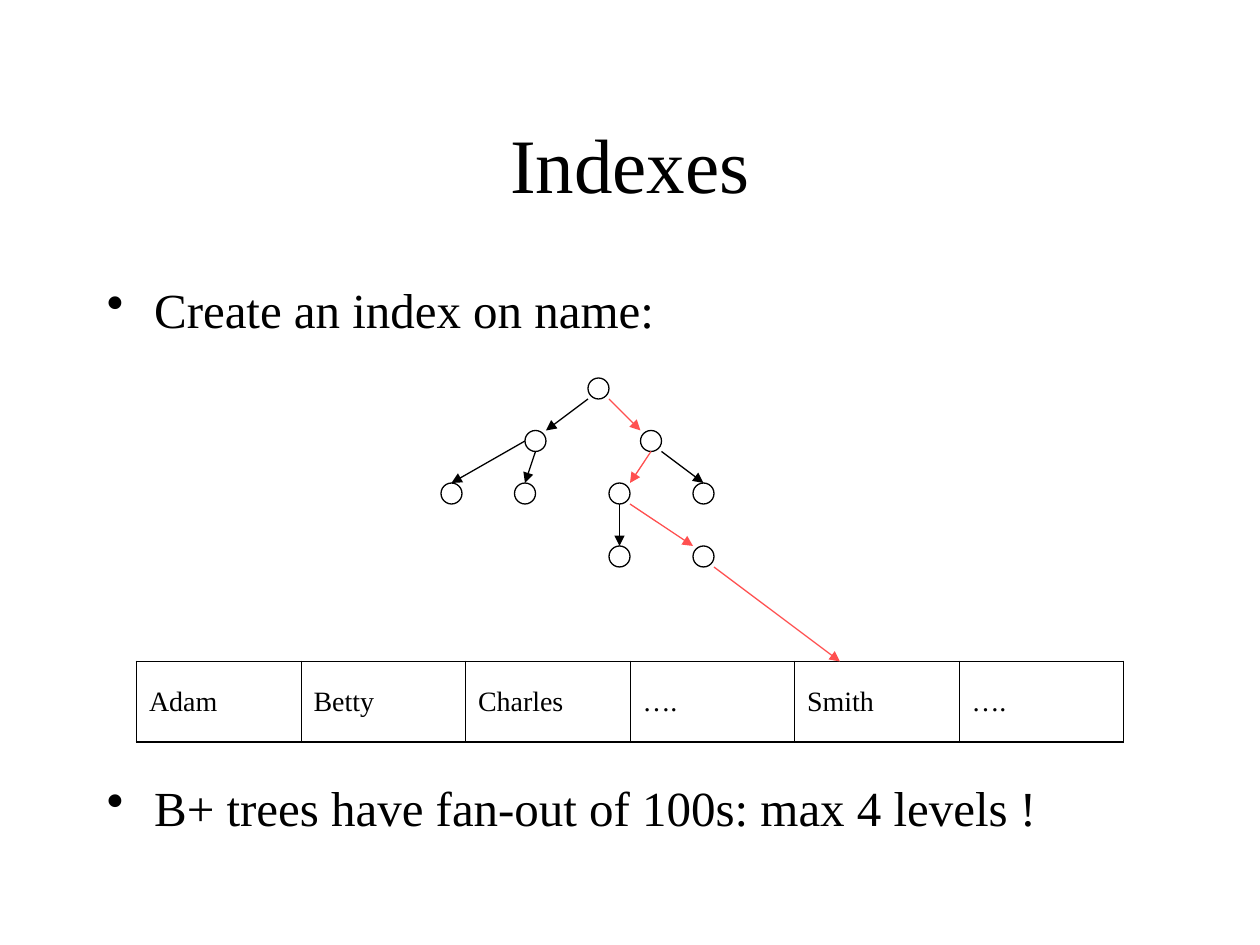
from lxml import etree
from pptx import Presentation
from pptx.dml.color import RGBColor
from pptx.enum import shapes, text
from pptx.oxml.ns import qn
from pptx.util import Pt

FONT = "Times New Roman"
BLACK, RED = "000000", "FF5050"
NODE = 12
INSETS = dict(margin_left=Pt(7.2), margin_right=Pt(7.2),
              margin_top=Pt(3.6), margin_bottom=Pt(3.6))

NODES = {
    "root": (336, 216),
    "left": (300, 246), "right": (366, 246),
    "leaf1": (252, 276), "leaf2": (294, 276),
    "inner": (348, 276), "leaf3": (396, 276),
    "leaf4": (348, 312), "leaf5": (396, 312),
}

# Where an arrow meets a node, as fractions of the node's box
TOP_LEFT, TOP, TOP_RIGHT = (0, 0), (0.5, 0), (1, 0)
LEFT, BOTTOM_LEFT, BOTTOM, BOTTOM_RIGHT = (0, 0.5), (0, 1), (0.5, 1), (1, 1)

EDGES = [
    ("root", BOTTOM_LEFT, "left", TOP_RIGHT, BLACK),
    ("root", BOTTOM_RIGHT, "right", TOP_LEFT, RED),
    ("left", LEFT, "leaf1", TOP, BLACK),
    ("left", BOTTOM, "leaf2", TOP, BLACK),
    ("right", BOTTOM, "inner", TOP_RIGHT, RED),
    ("right", BOTTOM_RIGHT, "leaf3", TOP, BLACK),
    ("inner", BOTTOM, "leaf4", TOP, BLACK),
    ("inner", BOTTOM_RIGHT, "leaf5", TOP_LEFT, RED),
]
NAMES = ["Adam", "Betty", "Charles", "….", "Smith", "…."]


def rgb(value):
    return RGBColor.from_string(value)


def set_all(obj, values):
    for name, value in values.items():
        setattr(obj, name, value)


def write(tf, words, size, **paragraph_format):
    p = tf.paragraphs[0]
    set_all(p, paragraph_format)
    r = p.add_run()
    r.text = words
    set_all(r.font, dict(name=FONT, size=Pt(size)))
    r.font.color.rgb = rgb(BLACK)
    return p


def add_text(slide, box, words, size, anchor=text.MSO_ANCHOR.TOP, **paragraph_format):
    tf = slide.shapes.add_textbox(*map(Pt, box)).text_frame
    set_all(tf, dict(INSETS, word_wrap=True, vertical_anchor=anchor))
    return write(tf, words, size, **paragraph_format)


def add_bullet(slide, top, words):
    p = add_text(slide, (54, top, 630, 42), words, 28, space_before=Pt(7))
    pPr = p._p.get_or_add_pPr()
    pPr.set("marL", str(Pt(27)))
    pPr.set("indent", str(Pt(-27)))
    etree.SubElement(pPr, qn("a:buChar"), char="•")


def add_node(group, left, top):
    sp = group.shapes.add_shape(shapes.MSO_SHAPE.OVAL, *map(Pt, (left, top, NODE, NODE)))
    sp.shadow.inherit = False
    sp.fill.background()
    sp.line.color.rgb = rgb(BLACK)
    sp.line.width = Pt(0.75)


def node_point(name, anchor):
    return tuple(start + NODE * part for start, part in zip(NODES[name], anchor))


def add_arrow(slide, start, end, color):
    line = slide.shapes.add_connector(shapes.MSO_CONNECTOR.STRAIGHT, *map(Pt, start + end))
    line.line.color.rgb = rgb(color)
    line.line.width = Pt(0.75)
    etree.SubElement(line.line._get_or_add_ln(), qn("a:tailEnd"), type="triangle")
    etree.SubElement(line._element.spPr, qn("a:effectLst"))


def set_borders(cell, widths):
    """Draw the left, right, top and bottom borders, in that order."""
    tcPr = cell._tc.get_or_add_tcPr()
    for i, (side, width) in enumerate(zip("LRTB", widths)):
        ln = etree.Element(qn(f"a:ln{side}"), w=str(Pt(width)))
        fill = etree.SubElement(ln, qn("a:solidFill"))
        etree.SubElement(fill, qn("a:srgbClr"), val=BLACK)
        tcPr.insert(i, ln)


def add_name_table(slide, left, top, width, height):
    frame = slide.shapes.add_table(1, len(NAMES), *map(Pt, (left, top, width, height)))
    table = frame.table
    set_all(table, dict(first_row=False, horz_banding=False))
    outer, inner = 1.08, 0.45
    last = len(NAMES) - 1
    for i, name in enumerate(NAMES):
        cell = table.cell(0, i)
        set_all(cell, dict(INSETS, vertical_anchor=text.MSO_ANCHOR.MIDDLE))
        cell.fill.background()
        set_borders(cell, (outer if i == 0 else inner,
                           outer if i == last else inner, outer, outer))
        write(cell.text_frame, name, 16, space_before=Pt(4))


def main():
    prs = Presentation()
    set_all(prs, dict(slide_width=Pt(720), slide_height=Pt(540)))
    slide = prs.slides.add_slide(prs.slide_layouts[6])

    add_text(slide, (54, 48, 612, 90), "Indexes", 44, text.MSO_ANCHOR.MIDDLE,
             alignment=text.PP_ALIGN.CENTER)
    add_bullet(slide, 156, "Create an index on name:")
    add_bullet(slide, 440.5, "B+ trees have fan-out of 100s: max 4 levels !")
    add_name_table(slide, 78, 378, 564, 46)

    tree = slide.shapes.add_group_shape()
    for left, top in NODES.values():
        add_node(tree, left, top)
    for parent, out, child, into, color in EDGES:
        add_arrow(slide, node_point(parent, out), node_point(child, into), color)
    add_arrow(slide, node_point("leaf5", BOTTOM_RIGHT), (480, 378), RED)

    prs.save("out.pptx")


if __name__ == "__main__":
    main()
